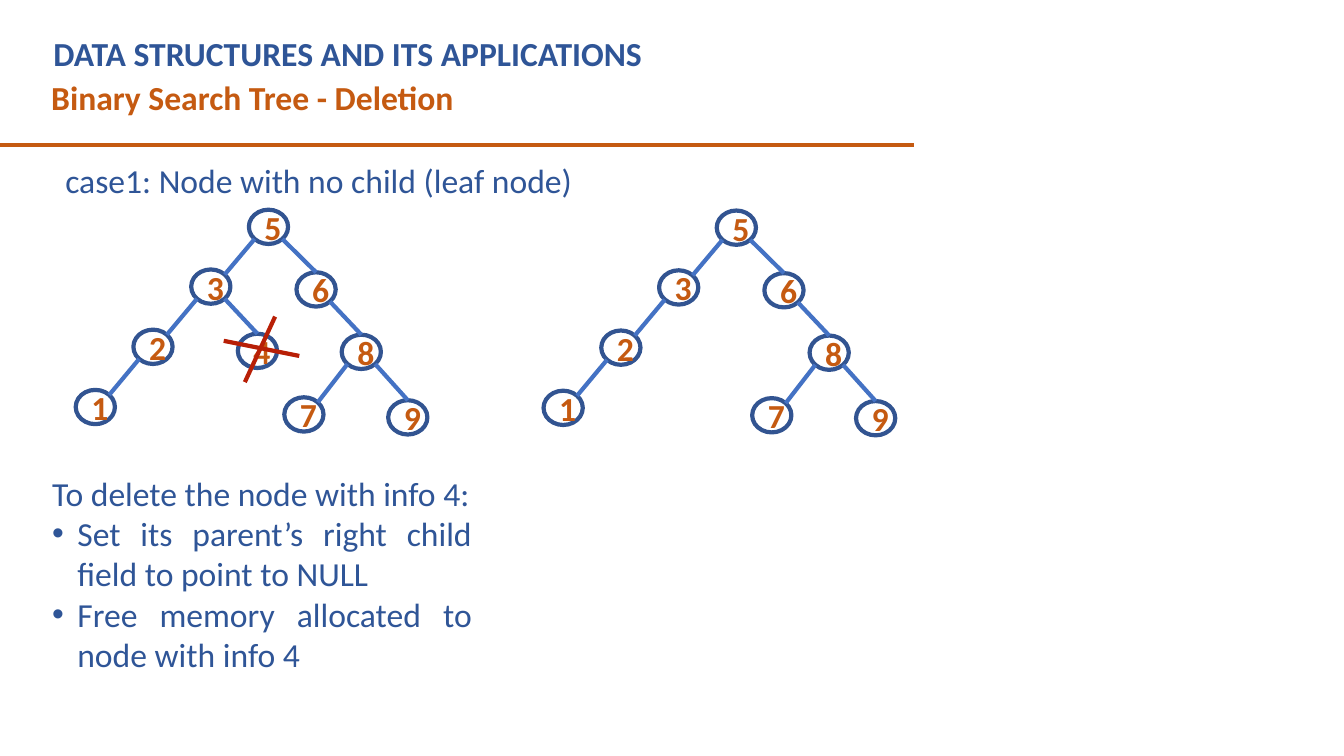
from dataclasses import dataclass

from lxml import etree
from pptx import Presentation
from pptx.dml.color import RGBColor
from pptx.enum import shapes, text
from pptx.oxml import ns
from pptx.util import Pt


@dataclass(frozen=True)
class Theme:
    font: str = "Calibri"
    size: float = 24
    stroke: float = 3
    blue: str = "2F5597"
    orange: str = "C55A11"
    node_line: str = "325491"
    edge: str = "4472C4"
    cross: str = "B81F06"
    paper: str = "FFFFFF"


THEME = Theme()
NODE_W, NODE_H = 28, 24.5
DIAGONAL = 0.354  # half of cos 45°, as a share of the node's size

# value: (parent, side, x and y of the node's box from the root's box)
TREE = {
    5: (None, None, 0, 0),
    3: (5, "left", -41.2, 42.7),
    6: (5, "right", 34, 44.7),
    2: (3, "left", -82.5, 85.7),
    4: (3, "right", -7.9, 88.6),
    8: (6, "right", 66.3, 89.3),
    9: (8, "right", 99.5, 136.1),
    1: (2, "left", -123.7, 128.7),
    7: (8, "left", 25.3, 134),
}
CROSS = [((-9, 22.3), (12.6, -24.5)), ((-24.1, -7.2), (29.9, 3.6))]


def rgb(color):
    return RGBColor.from_string(color)


def write(paragraph, words, color, bold=False):
    run = paragraph.add_run()
    run.text = words
    run.font.name = THEME.font
    run.font.size = Pt(THEME.size)
    run.font.bold = bold
    run.font.color.rgb = rgb(color)


def draw_line(slide, start, end, color):
    line = slide.shapes.add_connector(
        shapes.MSO_CONNECTOR.STRAIGHT, *map(Pt, (*start, *end)))
    line.line.color.rgb = rgb(color)
    line.line.width = Pt(THEME.stroke)
    etree.SubElement(line._element.spPr, ns.qn("a:effectLst"))


def add_text_frame(slide, box):
    frame = slide.shapes.add_textbox(*map(Pt, box)).text_frame
    frame.word_wrap = True
    return frame


def add_header(slide, left, top, width):
    title = slide.shapes.title
    title.left, title.top, title.width, title.height = map(
        Pt, (left + 1.5, top, width, 36))
    frame = title.text_frame
    frame.word_wrap = True
    frame.auto_size = text.MSO_AUTO_SIZE.NONE
    frame.vertical_anchor = text.MSO_ANCHOR.TOP
    course = frame.paragraphs[0]
    course.alignment = text.PP_ALIGN.LEFT
    write(course, "DATA STRUCTURES AND ITS APPLICATIONS", THEME.blue, bold=True)

    topic = add_text_frame(slide, (left, top + 31, width, 36))
    write(topic.paragraphs[0], "Binary Search Tree - Deletion", THEME.orange, bold=True)
    draw_line(slide, (0, top + 83.5), (653, top + 83.5), THEME.orange)


def add_case(slide, box):
    frame = add_text_frame(slide, box)
    frame.margin_top = frame.margin_bottom = 0
    case = frame.paragraphs[0]
    case.line_spacing = 1.5
    write(case, "case1: Node with no child (leaf node)", THEME.blue)


def add_node(slide, value, center):
    x, y = center
    node = slide.shapes.add_shape(
        shapes.MSO_SHAPE.OVAL,
        *map(Pt, (x - NODE_W / 2, y - NODE_H / 2, NODE_W, NODE_H)))
    node.shadow.inherit = False
    node.fill.solid()
    node.fill.fore_color.rgb = rgb(THEME.paper)
    node.line.color.rgb = rgb(THEME.node_line)
    node.line.width = Pt(THEME.stroke)
    node.text_frame.vertical_anchor = text.MSO_ANCHOR.MIDDLE
    label = node.text_frame.paragraphs[0]
    label.alignment = text.PP_ALIGN.CENTER
    write(label, str(value), THEME.orange, bold=True)


def add_edge(slide, parent, child, side):
    """Join the parent's lower diagonal to a left child's shoulder or a right child's top."""
    dx, dy = NODE_W * DIAGONAL, NODE_H * DIAGONAL
    if side == "left":
        start = parent[0] - dx, parent[1] + dy
        end = child[0] + dx, child[1] - dy
    else:
        start = parent[0] + dx, parent[1] + dy
        end = child[0], child[1] - NODE_H / 2
    draw_line(slide, start, end, THEME.edge)


def add_tree(slide, left, top, values):
    """Draw the nodes whose root box starts at left, top; return their centers."""
    centers = {}
    for value in values:
        parent, side, x, y = TREE[value]
        centers[value] = left + x + NODE_W / 2, top + y + NODE_H / 2
        add_node(slide, value, centers[value])
        if parent:
            add_edge(slide, centers[parent], centers[value], side)
    return centers


def cross_out(slide, center):
    x, y = center
    for (x1, y1), (x2, y2) in CROSS:
        draw_line(slide, (x + x1, y + y1), (x + x2, y + y2), THEME.cross)


def add_steps(slide, box):
    frame = add_text_frame(slide, box)
    intro = frame.paragraphs[0]
    intro.alignment = text.PP_ALIGN.JUSTIFY
    write(intro, "To delete the node with info 4:", THEME.blue)
    for words in ("Set its parent’s right child field to point to NULL",
                  "Free memory allocated to node with info 4"):
        step = frame.add_paragraph()
        step.alignment = text.PP_ALIGN.JUSTIFY
        properties = step._p.get_or_add_pPr()
        properties.set("marL", str(Pt(18)))
        properties.set("indent", str(Pt(-18)))
        etree.SubElement(properties, ns.qn("a:buFont"), typeface="Arial")
        etree.SubElement(properties, ns.qn("a:buChar"), char="•")
        write(step, words, THEME.blue)


def main():
    deck = Presentation()
    deck.slide_width, deck.slide_height = Pt(960), Pt(540)
    slide = deck.slides.add_slide(deck.slide_layouts.get_by_name("Title Only"))

    add_header(slide, 29.5, 20.2, 610)
    add_case(slide, (39.6, 100, 621, 44))
    before = add_tree(slide, 177.8, 149.8, TREE)
    cross_out(slide, before[4])
    add_tree(slide, 512, 150.4, [value for value in TREE if value != 4])
    add_steps(slide, (30.2, 334, 314, 153))

    deck.save("out.pptx")


if __name__ == "__main__":
    main()
